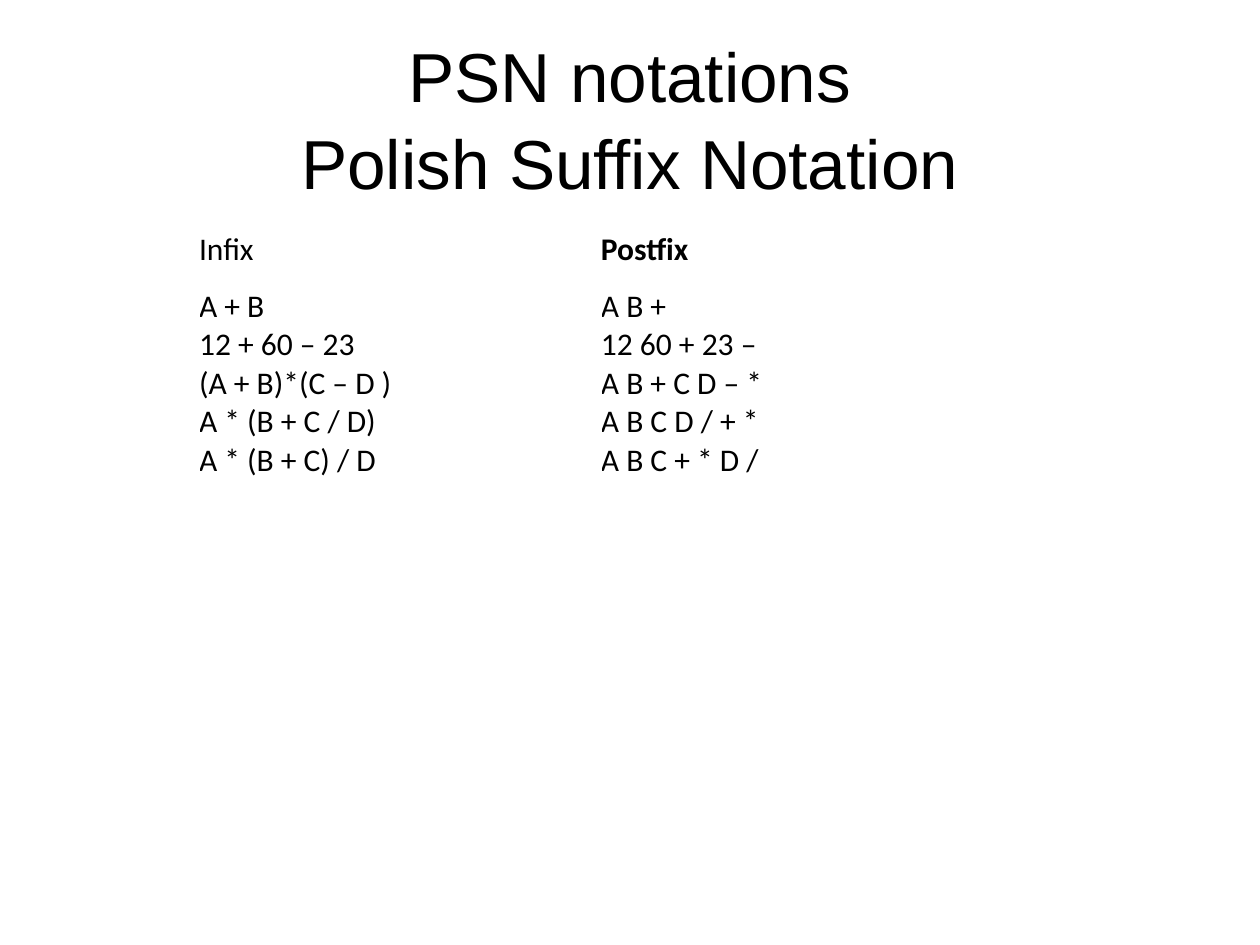
from typing import NamedTuple

from pptx import Presentation
from pptx.dml.color import RGBColor
from pptx.enum.text import MSO_ANCHOR, MSO_AUTO_SIZE, PP_ALIGN
from pptx.util import Inches, Pt

MIDDLE, TOP = MSO_ANCHOR.MIDDLE, MSO_ANCHOR.TOP
CENTER, LEFT = PP_ALIGN.CENTER, PP_ALIGN.LEFT
NO_AUTOFIT = MSO_AUTO_SIZE.NONE
SLIDE_WIDTH, SLIDE_HEIGHT = Inches(10), Inches(7.5)
TITLE_ONLY_LAYOUT = 5
BLACK = "000000"
ROW_HEIGHTS = (0.45, 3.14)


class Notation(NamedTuple):
    """One column of the table: a heading and its expressions."""
    heading: str
    bold: bool
    width: float
    expressions: str


NOTATIONS = (
    Notation("Infix", False, 3.19,
             "A + B \v12 + 60 – 23 \v(A + B)*(C – D ) \vA * (B + C / D)\nA * (B + C) / D"),
    Notation("Postfix", True, 3.27,
             "A B + \v12 60 + 23 – \vA B + C D – * \vA B C D / + * \vA B C + * D /"),
)


def write(frame, text: str, font: str, size: float, align, bold: bool = False) -> None:
    """Put text into a frame and format all its runs."""
    frame.text = text
    for paragraph in frame.paragraphs:
        paragraph.alignment = align
        paragraph.font.size = Pt(size)
        for run in paragraph.runs:
            run.font.name, run.font.size, run.font.bold = font, Pt(size), bold
            run.font.color.rgb = RGBColor.from_string(BLACK)


def add_title(slide, text: str) -> None:
    """Place the centred two-line title."""
    title = slide.shapes.title
    title.left, title.top = int(SLIDE_WIDTH * 0.05), int(SLIDE_HEIGHT * 0.04)
    title.width, title.height = int(SLIDE_WIDTH * 0.9), Inches(1.25)
    frame = title.text_frame
    write(frame, text, "Arial", 39.6, CENTER)
    frame.auto_size, frame.vertical_anchor, frame.word_wrap = NO_AUTOFIT, MIDDLE, True
    frame.paragraphs[0].line_spacing = 1.04


def write_cell(cell, text: str, bold: bool) -> None:
    """Fill one borderless table cell with text."""
    cell.fill.background()
    cell.margin_left = cell.margin_right = cell.margin_top = cell.margin_bottom = 0
    cell.vertical_anchor = TOP
    write(cell.text_frame, text, "Calibri", 18, LEFT, bold)


def add_notation_table(slide, notations: tuple[Notation, ...]) -> None:
    """Draw the table that compares the notations."""
    width = sum(notation.width for notation in notations)
    table = slide.shapes.add_table(
        len(ROW_HEIGHTS), len(notations), Inches(1.58), Inches(1.83),
        Inches(width), Inches(sum(ROW_HEIGHTS))).table
    table.first_row = table.horz_banding = False
    for row, height in zip(table.rows, ROW_HEIGHTS):
        row.height = Inches(height)
    for column, notation in enumerate(notations):
        table.columns[column].width = Inches(notation.width)
        write_cell(table.cell(0, column), notation.heading, notation.bold)
        write_cell(table.cell(1, column), notation.expressions, False)


def main() -> None:
    """Build and save the slide."""
    deck = Presentation()
    deck.slide_width, deck.slide_height = SLIDE_WIDTH, SLIDE_HEIGHT
    slide = deck.slides.add_slide(deck.slide_layouts[TITLE_ONLY_LAYOUT])
    add_title(slide, "PSN notations\vPolish Suffix Notation")
    add_notation_table(slide, NOTATIONS)
    deck.save("out.pptx")


if __name__ == "__main__":
    main()
